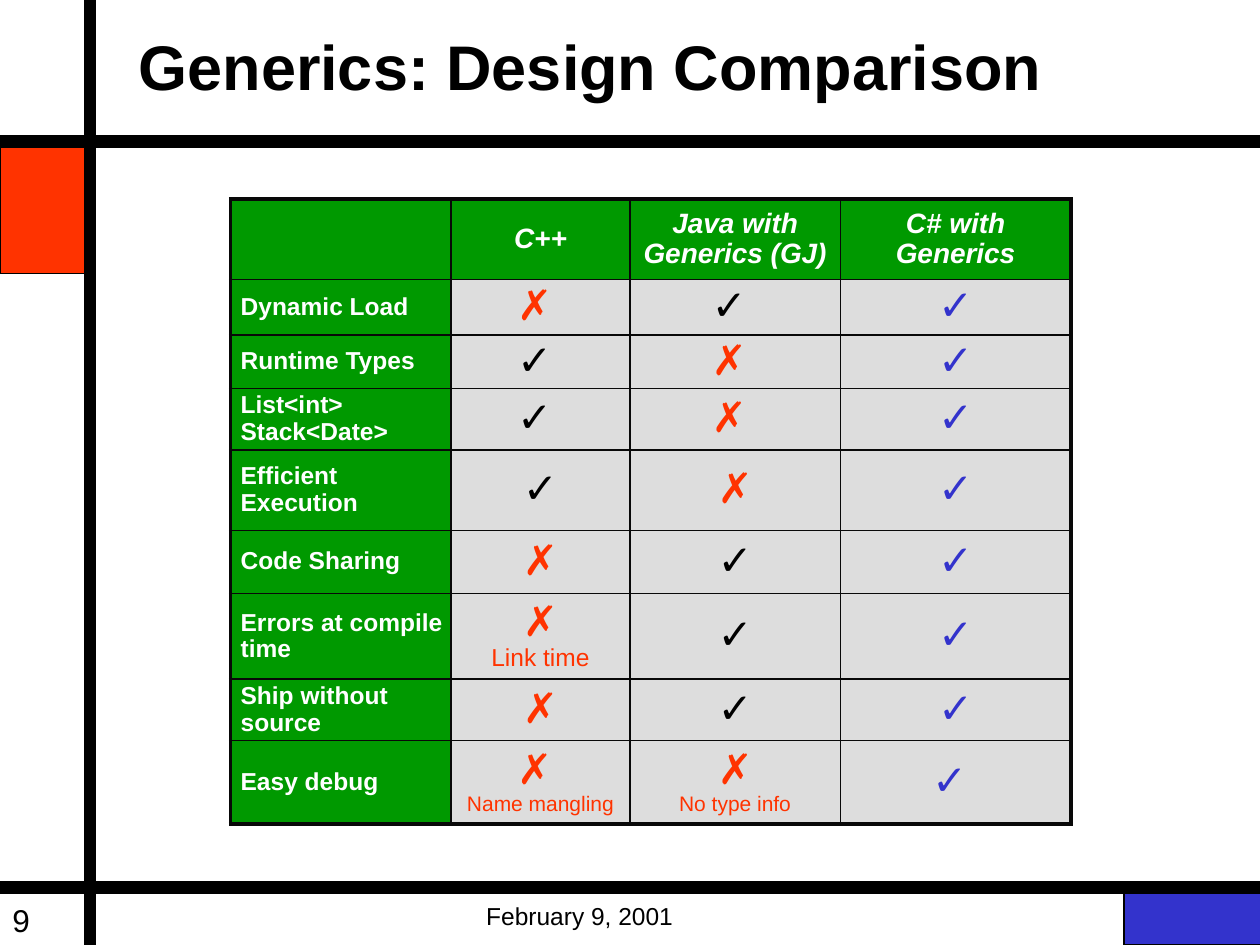
from pptx import Presentation, util as u
from pptx.dml.color import RGBColor
from pptx.enum import shapes as es, text as et
from pptx.oxml import parse_xml
from pptx.oxml.ns import nsdecls

BLACK = RGBColor(0, 0, 0)
WHITE = RGBColor(255, 255, 255)
RED = RGBColor(0xFF, 0x33, 0x00)
BLUE = RGBColor(0x33, 0x33, 0xCC)
GREEN = RGBColor(0x00, 0x99, 0x00)
GREY = RGBColor(0xDD, 0xDD, 0xDD)
EDGE = RGBColor(0x08, 0x08, 0x08)

BARS = [  # left, top, width, height, fill
    (8.92, 7.08, 1.09, 0.42, BLUE),
    (0, 1.08, 10, 0.09, BLACK),
    (0, 7, 10, 0.09, BLACK),
    (0.67, 0, 0.09, 7.5, BLACK),
    (0, 1.17, 0.67, 1, RED),
]
COLS = [1.75, 1.42, 1.67, 1.83]
ROWS = [0.64, 0.44, 0.42, 0.47, 0.64, 0.5, 0.68, 0.47, 0.66]
HEADS = ["", "C++", "Java with Generics (GJ)", "C# with\vGenerics"]
DATA = [  # label, then one mark per language
    ("Dynamic Load", "✗ ", "✓ ", "✓"),
    ("Runtime Types", "✓ ", "✗ ", "✓"),
    ("List<int>\vStack<Date>", "✓ ", "✗ ", "✓"),
    ("Efficient Execution", "✓", "✗", "✓"),
    ("Code Sharing", "✗", "✓", "✓"),
    ("Errors at compile time", "✗", "✓", "✓"),
    ("Ship without source", "✗", "✓", "✓"),
    ("Easy debug", "✗ ", "✗", "✓ "),
]
NOTES = {  # (row, column): remark below the mark, size
    (6, 1): ("Link time", 14),
    (8, 1): ("Name mangling", 12),
    (8, 2): ("No type info", 12),
}
HEAD = dict(size=16, bold=True, italic=True, color=WHITE)
LABEL = dict(size=14, bold=True, color=WHITE)


def style(font, size, color, **fmt):
    fmt.update(name="Arial", size=u.Pt(size))
    for key, val in fmt.items():
        setattr(font, key, val)
    font.color.rgb = color


def write(para, words, fmt):
    """Add text to a paragraph; a vertical tab is a line break."""
    for i, part in enumerate(words.split("\v")):
        if i:
            para.add_line_break()
        run = para.add_run()
        run.text = part
        style(run.font, **fmt)


def add_bar(slide, left, top, width, height, fill):
    bar = slide.shapes.add_shape(
        es.MSO_SHAPE.RECTANGLE, *map(u.Inches, (left, top, width, height)))
    bar.shadow.inherit = False
    bar.fill.solid()
    bar.fill.fore_color.rgb = fill
    bar.line.color.rgb = BLACK
    bar.line.width = u.Pt(0.75)


def add_text(slide, box, words, size):
    frame = slide.shapes.add_textbox(*map(u.Inches, box)).text_frame
    frame.word_wrap = True
    frame.vertical_anchor = et.MSO_ANCHOR.BOTTOM
    write(frame.paragraphs[0], words, dict(size=size, color=BLACK))


def set_title(slide, words):
    title = slide.shapes.title
    box = dict(left=1, top=0.17, width=8.45, height=0.7)
    for key, val in box.items():
        setattr(title, key, u.Inches(val))
    frame = title.text_frame
    frame.vertical_anchor = et.MSO_ANCHOR.BOTTOM
    para = frame.paragraphs[0]
    para.alignment = et.PP_ALIGN.LEFT
    write(para, words, dict(size=36, bold=True, color=BLACK))


def set_edges(cell, r, c):
    """Thick lines around the table, thin lines inside."""
    outer = dict(L=c == 0, R=c == len(COLS) - 1,
                 T=r == 0, B=r == len(ROWS) - 1)
    props = cell._tc.get_or_add_tcPr()
    for i, (side, thick) in enumerate(outer.items()):
        width = u.Pt(2.25 if thick else 1)
        props.insert(i, parse_xml(
            f'<a:ln{side} {nsdecls("a")} w="{width}"><a:solidFill>'
            f'<a:srgbClr val="{EDGE}"/></a:solidFill></a:ln{side}>'))


def fill_cell(cell, r, c, words):
    label = c == 0
    cell.fill.solid()
    cell.fill.fore_color.rgb = GREEN if r == 0 or label else GREY
    set_edges(cell, r, c)
    cell.vertical_anchor = et.MSO_ANCHOR.MIDDLE
    cell.margin_left = u.Inches(0.08 if label else 0.04)
    cell.margin_right = u.Inches(0.04)
    cell.margin_top = cell.margin_bottom = u.Inches(0.02)
    if not words:
        return
    para = cell.text_frame.paragraphs[0]
    para.line_spacing = 0.96
    para.alignment = et.PP_ALIGN.LEFT if label else et.PP_ALIGN.CENTER
    if r == 0:
        write(para, words, HEAD)
    elif label:
        write(para, words, LABEL)
    else:
        good = BLUE if c == 3 else BLACK
        color = RED if "✗" in words else good
        write(para, words, dict(size=24, bold=False, color=color))
    if (r, c) in NOTES:
        note, size = NOTES[r, c]
        para.add_line_break()
        write(para, note, dict(size=size, bold=False, color=RED))


def add_grid(slide):
    box = (1.83, 1.58, sum(COLS), sum(ROWS))
    table = slide.shapes.add_table(
        len(ROWS), len(COLS), *map(u.Inches, box)).table
    table.horz_banding = False
    for col, width in zip(table.columns, COLS):
        col.width = u.Inches(width)
    for row, height in zip(table.rows, ROWS):
        row.height = u.Inches(height)
    for r, line in enumerate([HEADS, *DATA]):
        for c, words in enumerate(line):
            fill_cell(table.cell(r, c), r, c, words)


def main():
    prs = Presentation()
    prs.slide_width, prs.slide_height = u.Inches(10), u.Inches(7.5)
    slide = prs.slides.add_slide(prs.slide_layouts[5])
    # Frame of bars and colour blocks
    for bar in BARS:
        add_bar(slide, *bar)
    # Footer
    add_text(slide, (3.76, 7.08, 2.08, 0.35), "February 9, 2001", 14)
    add_text(slide, (0, 7.13, 2.08, 0.37), "9", 18)
    # Title and comparison table
    set_title(slide, "Generics: Design Comparison")
    add_grid(slide)
    prs.save("out.pptx")


if __name__ == "__main__":
    main()
